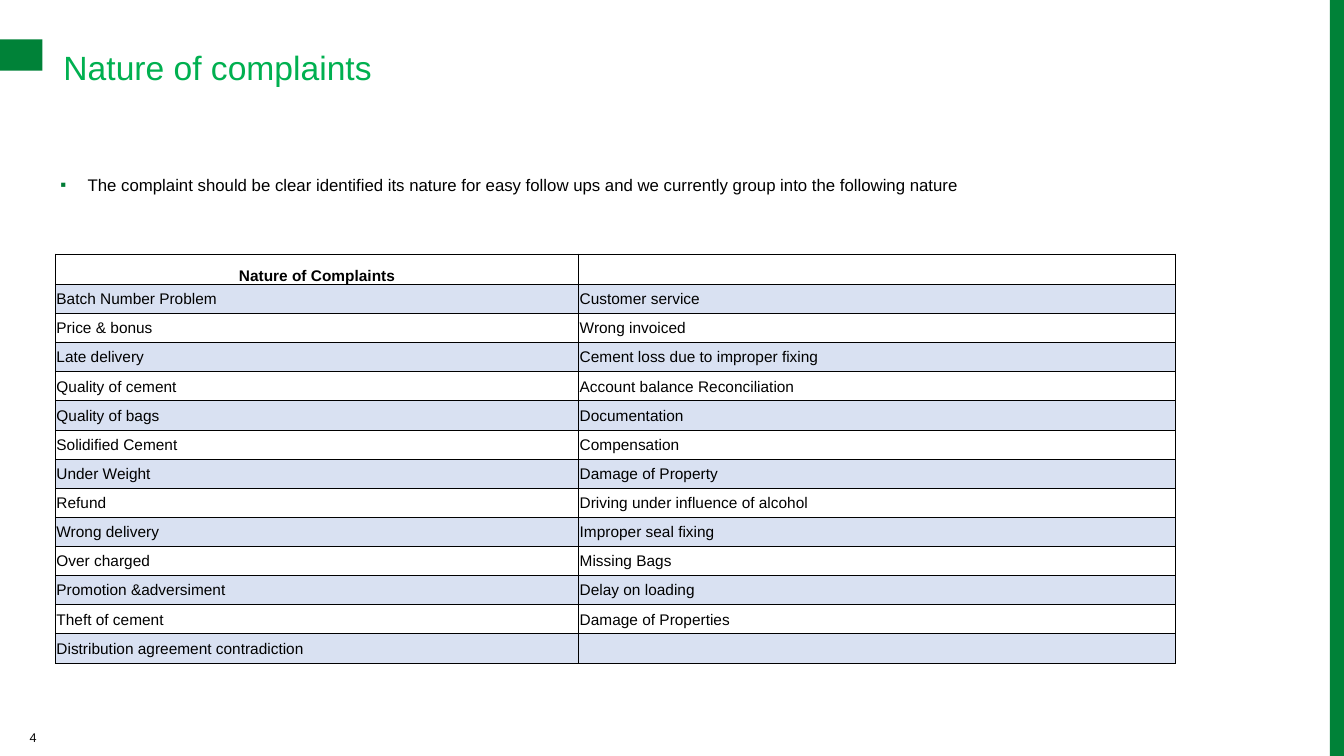
from lxml.etree import SubElement
from pptx import Presentation
from pptx.dml.color import RGBColor
from pptx.enum.shapes import MSO_SHAPE
from pptx.enum.text import MSO_ANCHOR, PP_ALIGN
from pptx.oxml.ns import qn
from pptx.util import Inches, Pt

BRAND_GREEN = RGBColor(0x00, 0x82, 0x38)
TITLE_GREEN = RGBColor(0x00, 0xB0, 0x50)
BULLET_GREEN = RGBColor(0x00, 0x7C, 0x36)
BLACK = RGBColor(0x00, 0x00, 0x00)
NUMBER_BLACK = RGBColor(0x08, 0x08, 0x08)
WHITE = RGBColor(0xFF, 0xFF, 0xFF)
BAND_BLUE = RGBColor(0xD9, 0xE1, 0xF2)
FONT = "Arial"

COMPLAINTS = [
    ("Nature of Complaints", ""),
    ("Batch Number Problem", "Customer service"),
    ("Price & bonus", "Wrong invoiced"),
    ("Late delivery", "Cement loss due to improper fixing"),
    ("Quality of cement", "Account balance Reconciliation"),
    ("Quality of bags", "Documentation"),
    ("Solidified Cement", "Compensation"),
    ("Under Weight", "Damage of Property"),
    ("Refund", "Driving under influence of alcohol"),
    ("Wrong delivery", "Improper seal fixing"),
    ("Over charged", "Missing Bags"),
    ("Promotion &adversiment", "Delay on loading"),
    ("Theft of cement", "Damage of Properties"),
    ("Distribution agreement contradiction", ""),
]
COLUMN_WIDTHS = (5.19, 5.92)
TABLE_HEIGHT, HEADER_HEIGHT = 4.06, 0.3


def write(paragraph, text, size=12, color=BLACK, bold=False, align=PP_ALIGN.LEFT):
    paragraph.alignment = align
    if not text:
        # An empty cell keeps its row low through the end mark's size
        SubElement(paragraph._p, qn("a:endParaRPr"), sz=str(size * 100))
        return
    run = paragraph.add_run()
    run.text = text
    run.font.name = FONT
    run.font.size = Pt(size)
    run.font.bold = bold
    run.font.color.rgb = color


def add_text(slide, box, text, inset=(0, 0), wrap=True, anchor=MSO_ANCHOR.TOP, **style):
    frame = slide.shapes.add_textbox(*map(Inches, box)).text_frame
    frame.word_wrap = wrap
    frame.vertical_anchor = anchor
    frame.margin_left = frame.margin_right = Inches(inset[0])
    frame.margin_top = frame.margin_bottom = Inches(inset[1])
    write(frame.paragraphs[0], text, **style)
    return frame.paragraphs[0]


def add_bullet(paragraph, mark, color, indent):
    props = paragraph._p.get_or_add_pPr()
    props.set("marL", str(Inches(indent)))
    props.set("indent", str(-Inches(indent)))
    SubElement(SubElement(props, qn("a:buClr")), qn("a:srgbClr"), val=str(color))
    SubElement(props, qn("a:buFont"), typeface=FONT)
    SubElement(props, qn("a:buChar"), char=mark)


def add_block(slide, box):
    block = slide.shapes.add_shape(MSO_SHAPE.RECTANGLE, *map(Inches, box))
    block.shadow.inherit = False
    block.fill.solid()
    block.fill.fore_color.rgb = BRAND_GREEN
    block.line.fill.background()


def format_cell(cell, fill):
    # Borders come before the fill in the cell's properties
    props = cell._tc.get_or_add_tcPr()
    for side in ("lnL", "lnR", "lnT", "lnB"):
        border = SubElement(props, qn(f"a:{side}"), w=str(Pt(0.5)))
        SubElement(SubElement(border, qn("a:solidFill")), qn("a:srgbClr"), val=str(BLACK))
    cell.fill.solid()
    cell.fill.fore_color.rgb = fill
    cell.margin_left = cell.margin_right = cell.margin_top = Inches(0.01)
    cell.margin_bottom = 0


def add_complaints_table(slide, left, top):
    table = slide.shapes.add_table(
        len(COMPLAINTS), len(COLUMN_WIDTHS), Inches(left), Inches(top),
        Inches(sum(COLUMN_WIDTHS)), Inches(TABLE_HEIGHT)).table
    table.first_row = table.horz_banding = False
    for column, width in zip(table.columns, COLUMN_WIDTHS):
        column.width = Inches(width)
    row_height = (TABLE_HEIGHT - HEADER_HEIGHT) / (len(COMPLAINTS) - 1)
    for r, natures in enumerate(COMPLAINTS):
        header = r == 0
        table.rows[r].height = Inches(HEADER_HEIGHT if header else row_height)
        for c, nature in enumerate(natures):
            cell = table.cell(r, c)
            format_cell(cell, BAND_BLUE if r % 2 else WHITE)
            cell.vertical_anchor = MSO_ANCHOR.BOTTOM if header else MSO_ANCHOR.MIDDLE
            write(cell.text_frame.paragraphs[0], nature, size=11, bold=header,
                  align=PP_ALIGN.CENTER if header else PP_ALIGN.LEFT)


def main():
    prs = Presentation()
    prs.slide_width, prs.slide_height = Inches(13.33), Inches(7.5)
    slide = prs.slides.add_slide(prs.slide_layouts[6])

    # Page number and green edge blocks
    add_text(slide, (0.11, 7.27, 0.44, 0.09), "4", wrap=False, anchor=MSO_ANCHOR.MIDDLE,
             size=9, color=NUMBER_BLACK, align=PP_ALIGN.CENTER)
    add_block(slide, (13.19, 0, 0.14, 7.5))
    add_block(slide, (0, 0.39, 0.42, 0.31))

    # Title and introduction
    add_text(slide, (0.55, 0.39, 12.66, 0.91), "Nature of complaints",
             inset=(0.08, 0.08), size=24, color=TITLE_GREEN)
    introduction = add_text(
        slide, (0.51, 1.68, 12.3, 0.3),
        "The complaint should be clear identified its nature for easy follow ups "
        "and we currently group into the following nature", inset=(0.09, 0.05))
    add_bullet(introduction, "▪", BULLET_GREEN, indent=0.27)

    # Complaint categories
    add_complaints_table(slide, 0.55, 2.52)

    prs.save("out.pptx")


if __name__ == "__main__":
    main()
